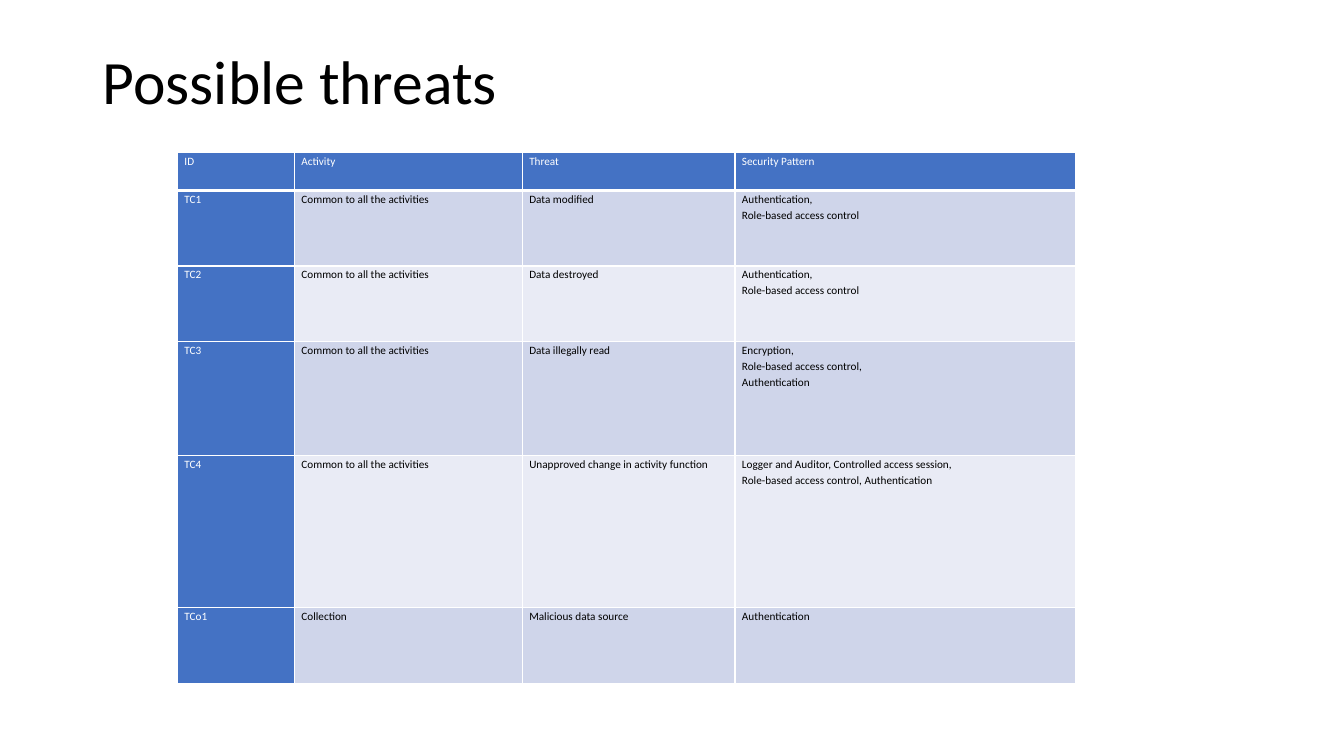
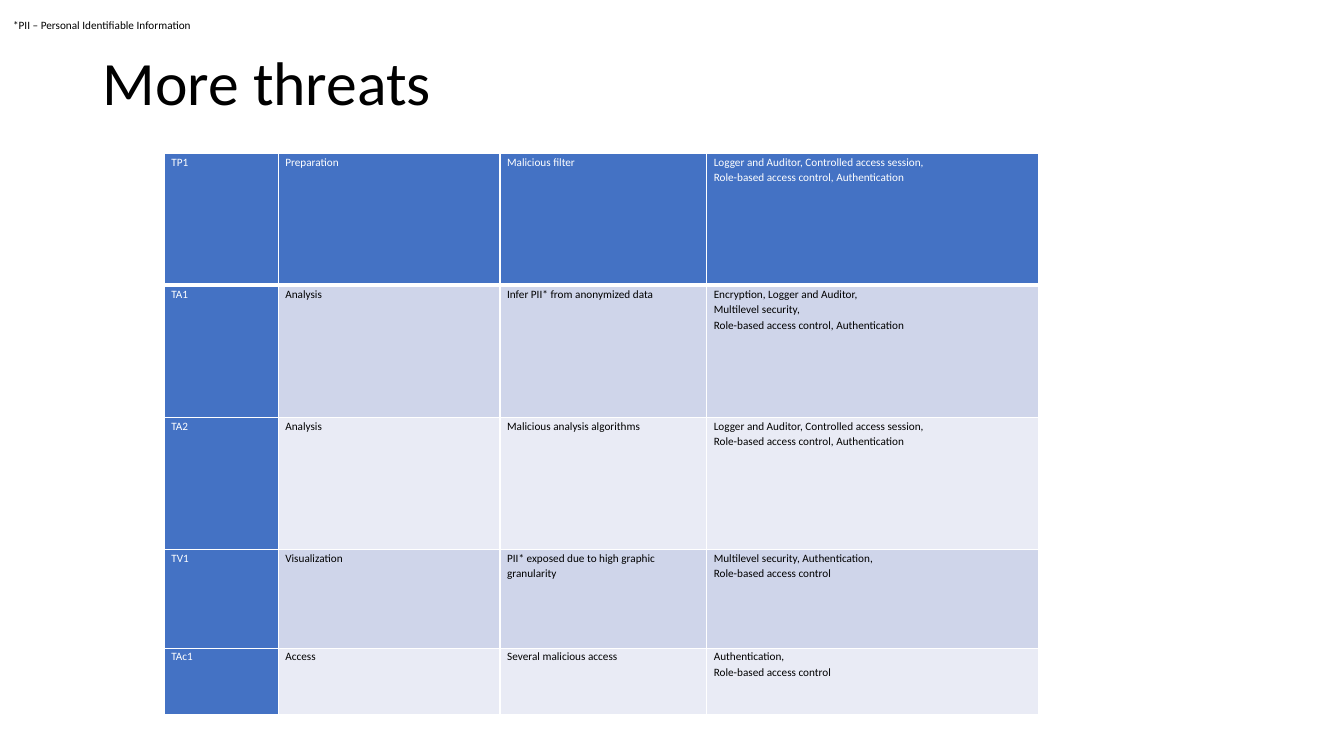
import pptx
import pptx.dml.color
import pptx.enum.text
import pptx.oxml
import pptx.oxml.ns
import pptx.util
from pptx.util import Inches

RGBColor = pptx.dml.color.RGBColor
ALIGN = pptx.enum.text.PP_ALIGN
ANCHOR = pptx.enum.text.MSO_ANCHOR

BLACK = RGBColor(0x00, 0x00, 0x00)
WHITE = RGBColor(0xFF, 0xFF, 0xFF)
BLUE = RGBColor(0x44, 0x72, 0xC4)
BANDS = (RGBColor(0xCF, 0xD5, 0xEA), RGBColor(0xE9, 0xEB, 0xF5))
FONT = "Calibri"
SMALL = 8

ALL_ACTIVITIES = "Common to all the activities"
ROLE = "Role-based access control"
AUTH_ROLE = f"Authentication,\n{ROLE}"
LOGGED_SESSION = (
    "Logger and Auditor, Controlled access session,\n"
    f"{ROLE}, Authentication"
)

POSSIBLE_THREATS = [
    ("ID", "Activity", "Threat", "Security Pattern"),
    ("TC1", ALL_ACTIVITIES, "Data modified", AUTH_ROLE),
    ("TC2", ALL_ACTIVITIES, "Data destroyed", AUTH_ROLE),
    ("TC3", ALL_ACTIVITIES, "Data illegally read",
     f"Encryption,\n{ROLE},\nAuthentication"),
    ("TC4", ALL_ACTIVITIES, "Unapproved change in activity function",
     LOGGED_SESSION),
    ("TCo1", "Collection", "Malicious data source", "Authentication"),
]
MORE_THREATS = [
    ("TP1", "Preparation", "Malicious filter", LOGGED_SESSION),
    ("TA1", "Analysis", "Infer PII* from anonymized data",
     "Encryption, Logger and Auditor,\nMultilevel security,\n"
     f"{ROLE}, Authentication"),
    ("TA2", "Analysis", "Malicious analysis algorithms", LOGGED_SESSION),
    ("TV1", "Visualization", "PII* exposed due to high graphic granularity",
     f"Multilevel security, Authentication,\n{ROLE}"),
    ("TAc1", "Access", "Several malicious access", AUTH_ROLE),
]


def write_text(frame, text, size=SMALL, color=BLACK, spacing=1.0,
               align=ALIGN.LEFT):
    """Fill a text frame with one paragraph per line of text."""
    frame.word_wrap = True
    for index, line in enumerate(text.split("\n")):
        para = frame.add_paragraph() if index else frame.paragraphs[0]
        para.alignment = align
        para.line_spacing = spacing
        span = para.add_run()
        span.text = line
        span.font.name = FONT
        span.font.size = pptx.util.Pt(size)
        span.font.bold = False
        span.font.color.rgb = color


def add_text(page, text, left, top, width, height, inset=0.1, **style):
    box = page.shapes.add_textbox(
        Inches(left), Inches(top), Inches(width), Inches(height))
    frame = box.text_frame
    frame.vertical_anchor = ANCHOR.MIDDLE
    frame.margin_left = Inches(inset)
    write_text(frame, text, **style)


def set_borders(cell, bottom):
    """Draw white borders, 1 pt except for the given bottom width."""
    properties = cell._tc.get_or_add_tcPr()
    widths = {"lnL": 1, "lnR": 1, "lnT": 1, "lnB": bottom}
    for index, (side, width) in enumerate(widths.items()):
        line = pptx.oxml.parse_xml(
            f'<a:{side} {pptx.oxml.ns.nsdecls("a")} w="{pptx.util.Pt(width)}">'
            f'<a:solidFill><a:srgbClr val="{WHITE}"/></a:solidFill></a:{side}>')
        properties.insert(index, line)


def add_threat_table(page, rows, left, top, widths, heights):
    table = page.shapes.add_table(
        len(rows), len(widths), Inches(left), Inches(top),
        Inches(sum(widths)), Inches(sum(heights))).table
    table.horz_banding = False
    for column, width in zip(table.columns, widths):
        column.width = Inches(width)
    for row_index, (texts, height) in enumerate(zip(rows, heights)):
        table.rows[row_index].height = Inches(height)
        for column_index, text in enumerate(texts):
            cell = table.cell(row_index, column_index)
            is_header = row_index == 0
            is_label = is_header or column_index == 0
            cell.margin_left = cell.margin_right = Inches(0.07)
            cell.margin_top = cell.margin_bottom = 0
            cell.fill.solid()
            cell.fill.fore_color.rgb = (
                BLUE if is_label else BANDS[(row_index - 1) % 2])
            set_borders(cell, bottom=3 if is_header else 1)
            write_text(
                cell.text_frame, text, spacing=1.15,
                color=WHITE if is_label else BLACK,
                align=ALIGN.LEFT if column_index else ALIGN.JUSTIFY)


def add_threat_page(deck, title, title_height, rows, **table_place):
    page = deck.slides.add_slide(deck.slide_layouts[6])
    add_text(page, title, 0.92, 0.4, 11.5, title_height, size=44, spacing=0.9)
    add_threat_table(page, rows, **table_place)
    return page


def main():
    deck = pptx.Presentation()
    deck.slide_width = Inches(13.33)
    deck.slide_height = Inches(7.5)
    add_threat_page(
        deck, "Possible threats", 0.87, POSSIBLE_THREATS, left=1.76, top=1.51,
        widths=(1.16, 2.26, 2.11, 3.38),
        heights=(0.38, 0.75, 0.75, 1.13, 1.51, 0.75))
    page = add_threat_page(
        deck, "More threats", 0.9, MORE_THREATS, left=1.63, top=1.52,
        widths=(1.13, 2.2, 2.05, 3.29),
        heights=(1.31, 1.31, 1.31, 0.98, 0.66))
    add_text(page, "*PII – Personal Identifiable Information",
             0, 0, 13.33, 0.5, inset=0.13)
    deck.save("out.pptx")


if __name__ == "__main__":
    main()
